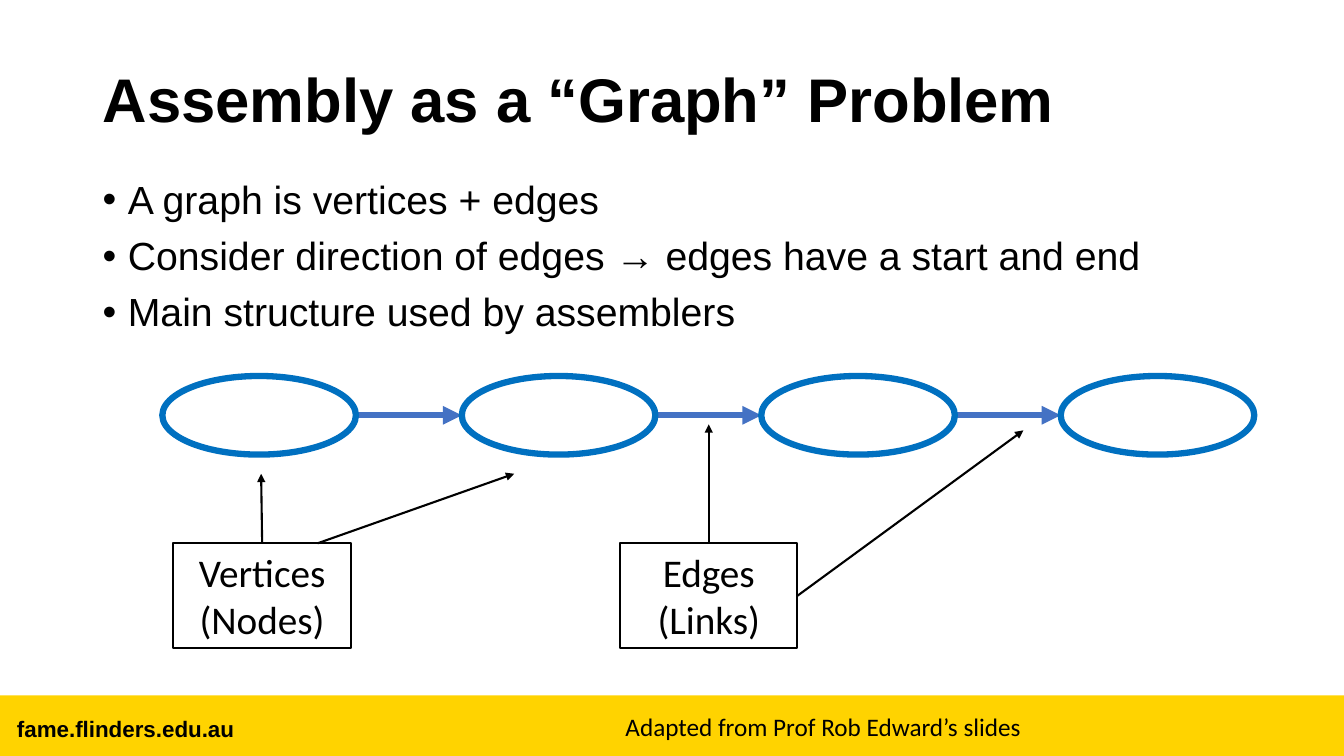
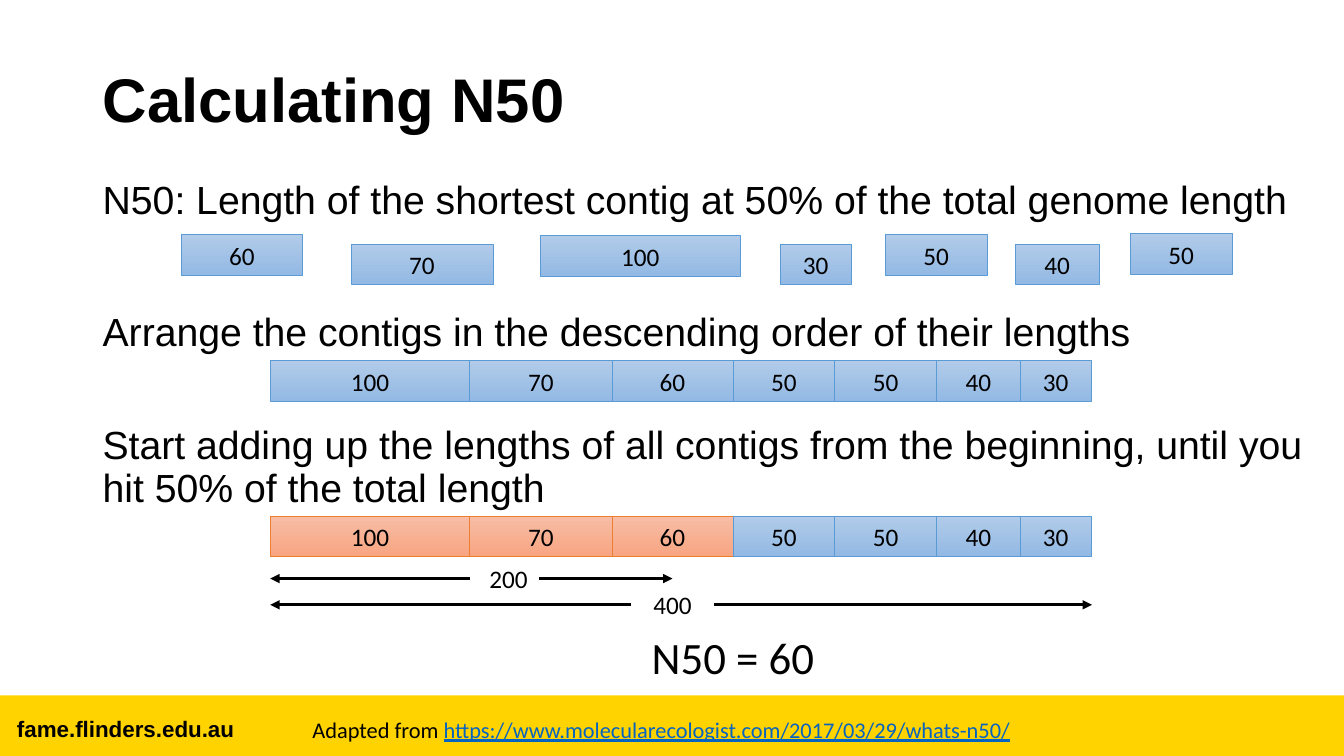
from lxml.etree import SubElement
from pptx import Presentation
from pptx.dml.color import RGBColor
from pptx.enum.shapes import MSO_CONNECTOR, MSO_SHAPE
from pptx.enum.text import MSO_ANCHOR, PP_ALIGN
from pptx.oxml.ns import qn
from pptx.util import Inches, Pt


class Theme:
    heading_font = "Arial"
    label_font = "Calibri"
    black = RGBColor.from_string("000000")
    band = RGBColor.from_string("FFD300")
    node = RGBColor.from_string("0070C0")
    edge = RGBColor.from_string("4472C4")
    link = RGBColor.from_string("0563C1")
    # Gradient top, gradient bottom, outline
    blue = [RGBColor.from_string(c) for c in ("B1CBE9", "93B9E4", "5B9BD5")]
    orange = [RGBColor.from_string(c) for c in ("F7BDA5", "F8A582", "ED7D31")]
    title_size = Pt(44)
    result_size = Pt(32)
    body_size = Pt(28)
    label_size = Pt(18)
    footer_size = Pt(16)


def write(shape, paragraphs, size, font=Theme.label_font, bold=False,
          align=PP_ALIGN.CENTER, anchor=MSO_ANCHOR.MIDDLE,
          line_spacing=None, gaps=(), bullet=None):
    """Fill a shape with paragraphs, each a list of (text, colour) runs."""
    frame = shape.text_frame
    frame.word_wrap = True
    frame.vertical_anchor = anchor
    for i, runs in enumerate(paragraphs):
        paragraph = frame.add_paragraph() if i else frame.paragraphs[0]
        if bullet:
            props = paragraph._p.get_or_add_pPr()
            props.set("marL", str(Inches(0.25)))
            props.set("indent", str(Inches(-0.25)))
            SubElement(props, qn("a:buFont")).set("typeface", Theme.heading_font)
            SubElement(props, qn("a:buChar")).set("char", bullet)
        paragraph.alignment = align
        paragraph.line_spacing = line_spacing
        if i and gaps:
            paragraph.space_before = Pt(gaps[i - 1])
        for text, color in runs:
            run = paragraph.add_run()
            run.text = text
            run.font.name = font
            run.font.size = size
            run.font.bold = bold
            run.font.underline = color == Theme.link
            run.font.color.rgb = color


def arrow(slide, start, end, color, width):
    """Draw a straight arrow between two points given in inches."""
    line = slide.shapes.add_connector(
        MSO_CONNECTOR.STRAIGHT, *map(Inches, (*start, *end)))
    line.line.color.rgb = color
    line.line.width = Pt(width)
    props = line.element.spPr
    SubElement(props.find(qn("a:ln")), qn("a:tailEnd")).set("type", "triangle")
    SubElement(props, qn("a:effectLst"))


prs = Presentation()
prs.slide_width, prs.slide_height = Inches(13.33), Inches(7.5)

pages = [
    {
        "title": "Assembly as a “Graph” Problem",
        "body": ["A graph is vertices + edges",
                 "Consider direction of edges → edges have a start and end",
                 "Main structure used by assemblers"],
        "body_width": 11.5, "gaps": (10, 10), "bullet": "•",
        "credit": [("Adapted from Prof Rob Edward’s slides", Theme.black)],
        "credit_box": (6.05, 7.01, 4.23, 0.4), "credit_size": Theme.label_size,
    },
    {
        "title": "Calculating N50",
        "body": ["N50: Length of the shortest contig at 50% of the total genome length",
                 "Arrange the contigs in the descending order of their lengths",
                 "Start adding up the lengths of all contigs from the beginning, "
                 "until you hit 50% of the total length"],
        "body_width": 12.1, "gaps": (64, 51), "bullet": None,
        "credit": [("Adapted from ", Theme.black),
                   ("https://www.molecularecologist.com/2017/03/29/whats-n50/", Theme.link)],
        "credit_box": (2.84, 7.05, 7.44, 0.37), "credit_size": Theme.footer_size,
    },
]

# Shared frame: band, site address, title, body and credit
slides = []
for page in pages:
    slide = prs.slides.add_slide(prs.slide_layouts[6])
    slides.append(slide)
    band = slide.shapes.add_shape(
        MSO_SHAPE.RECTANGLE, 0, Inches(6.9), prs.slide_width, Inches(0.6))
    band.shadow.inherit = False
    band.fill.solid()
    band.fill.fore_color.rgb = Theme.band
    band.line.fill.background()

    site = slide.shapes.add_textbox(*map(Inches, (0.07, 7.04, 6.67, 0.37)))
    write(site, [[("fame.flinders.edu.au", Theme.black)]], Theme.footer_size,
          Theme.heading_font, bold=True, align=PP_ALIGN.LEFT)

    title = slide.shapes.add_textbox(*map(Inches, (0.92, 0.55, 11.5, 0.93)))
    write(title, [[(page["title"], Theme.black)]], Theme.title_size,
          Theme.heading_font, bold=True, align=PP_ALIGN.LEFT, line_spacing=0.9)

    body = slide.shapes.add_textbox(
        *map(Inches, (0.92, 1.74, page["body_width"], 4.95)))
    write(body, [[(text, Theme.black)] for text in page["body"]], Theme.body_size,
          Theme.heading_font, align=PP_ALIGN.LEFT, anchor=MSO_ANCHOR.TOP,
          line_spacing=0.9, gaps=page["gaps"], bullet=page["bullet"])

    credit = slide.shapes.add_textbox(*map(Inches, page["credit_box"]))
    write(credit, [page["credit"]], page["credit_size"])

graph_slide, n50_slide = slides

# Graph: four nodes joined by three edges
node_width, node_height, node_top, node_step = 1.92, 0.78, 3.73, 2.97
node_lefts = [1.61 + node_step * i for i in range(4)]
edge_y = node_top + node_height / 2
for left, next_left in zip(node_lefts, node_lefts[1:]):
    arrow(graph_slide, (left + node_width, edge_y), (next_left, edge_y), Theme.edge, 4.5)
for left in node_lefts:
    node = graph_slide.shapes.add_shape(
        MSO_SHAPE.OVAL, *map(Inches, (left, node_top, node_width, node_height)))
    node.shadow.inherit = False
    node.fill.background()
    node.line.color.rgb = Theme.node
    node.line.width = Pt(4.5)

# Callouts with their pointers
callouts = [
    (1.72, ["Vertices", "(Nodes)"],
     [((2.6, 5.39), (2.59, 4.7)), ((3.15, 5.39), (5.1, 4.7))]),
    (6.15, ["Edges", "(Links)"],
     [((7.03, 5.39), (7.03, 4.21)), ((7.91, 5.91), (10.15, 4.27))]),
]
for left, lines, pointers in callouts:
    callout = graph_slide.shapes.add_shape(
        MSO_SHAPE.RECTANGLE, *map(Inches, (left, 5.39, 1.76, 1.04)))
    callout.shadow.inherit = False
    callout.fill.background()
    callout.line.color.rgb = Theme.black
    callout.line.width = Pt(1.5)
    write(callout, [[(text, Theme.black)] for text in lines], Theme.body_size)
    for start, end in pointers:
        arrow(graph_slide, start, end, Theme.black, 1.5)

# Contigs: scattered, then sorted, then sorted with the first half marked
contig_widths = {100: 1.98, 70: 1.41, 60: 1.2, 50: 1.01, 40: 0.83, 30: 0.7}
contigs = [(length, left, top, Theme.blue) for length, left, top in (
    (60, 1.8, 2.33), (70, 3.48, 2.42), (100, 5.36, 2.34), (30, 7.74, 2.42),
    (50, 8.78, 2.33), (40, 10.07, 2.42), (50, 11.21, 2.32))]
for top, marked in ((3.58, 0), (5.12, 3)):
    left = 2.68
    for i, length in enumerate((100, 70, 60, 50, 50, 40, 30)):
        contigs.append((length, left, top, Theme.orange if i < marked else Theme.blue))
        left += contig_widths[length]

for length, left, top, (light, dark, outline) in contigs:
    contig = n50_slide.shapes.add_shape(
        MSO_SHAPE.RECTANGLE, *map(Inches, (left, top, contig_widths[length], 0.4)))
    contig.shadow.inherit = False
    contig.fill.gradient()
    contig.fill.gradient_angle = 270
    for stop, color in zip(contig.fill.gradient_stops, (light, dark)):
        stop.color.rgb = color
    contig.line.color.rgb = outline
    contig.line.width = Pt(0.5)
    write(contig, [[(str(length), Theme.black)]], Theme.label_size)

# Length spans under the marked row, and the result
for y, span_left, left_end, right_start, span_right in (
        (5.74, 2.68, 4.66, 5.35, 6.67), (6, 2.68, 6.26, 7.08, 10.83)):
    arrow(n50_slide, (left_end, y), (span_left, y), Theme.black, 2.25)
    arrow(n50_slide, (right_start, y), (span_right, y), Theme.black, 2.25)

for text, box, size in (
        ("200", (4.66, 5.54, 0.77, 0.4), Theme.label_size),
        ("400", (6.07, 5.8, 1.2, 0.4), Theme.label_size),
        ("N50 = 60", (6.04, 6.19, 2.46, 0.64), Theme.result_size)):
    label = n50_slide.shapes.add_textbox(*map(Inches, box))
    write(label, [[(text, Theme.black)]], size)

prs.save("out.pptx")
